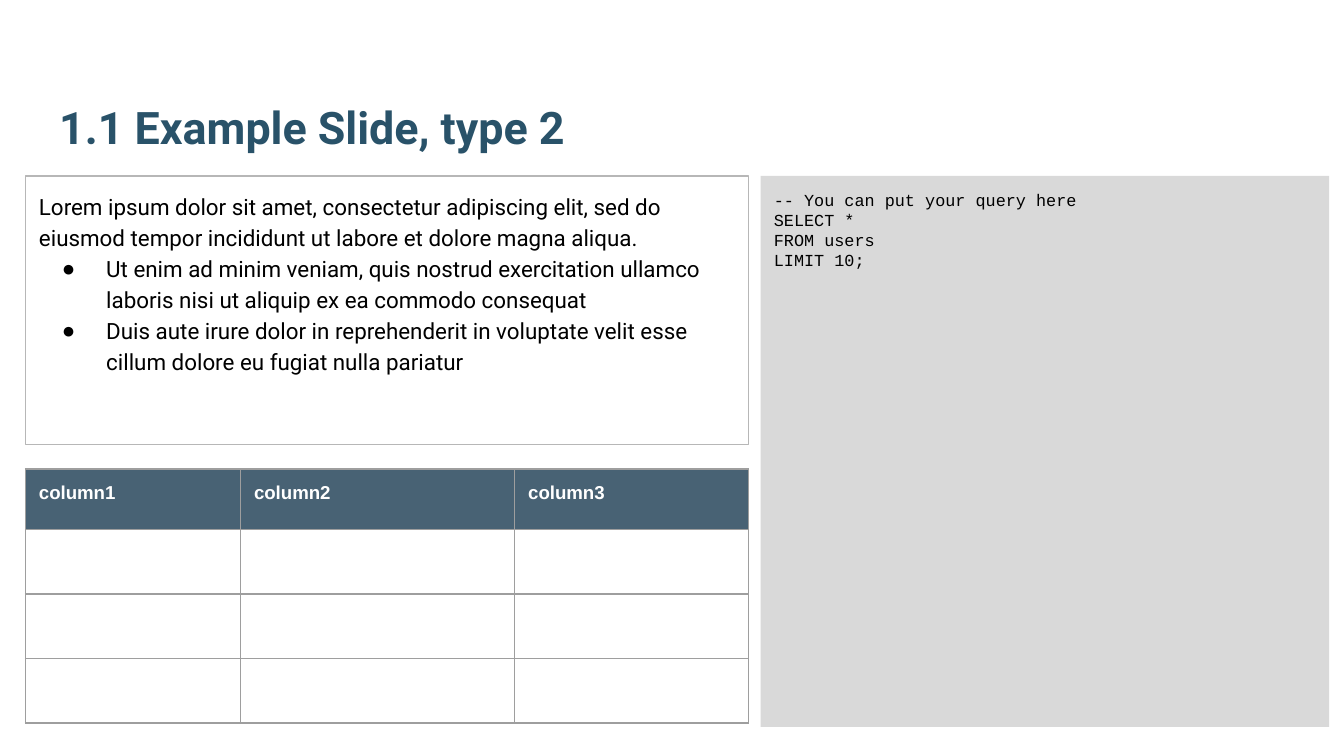
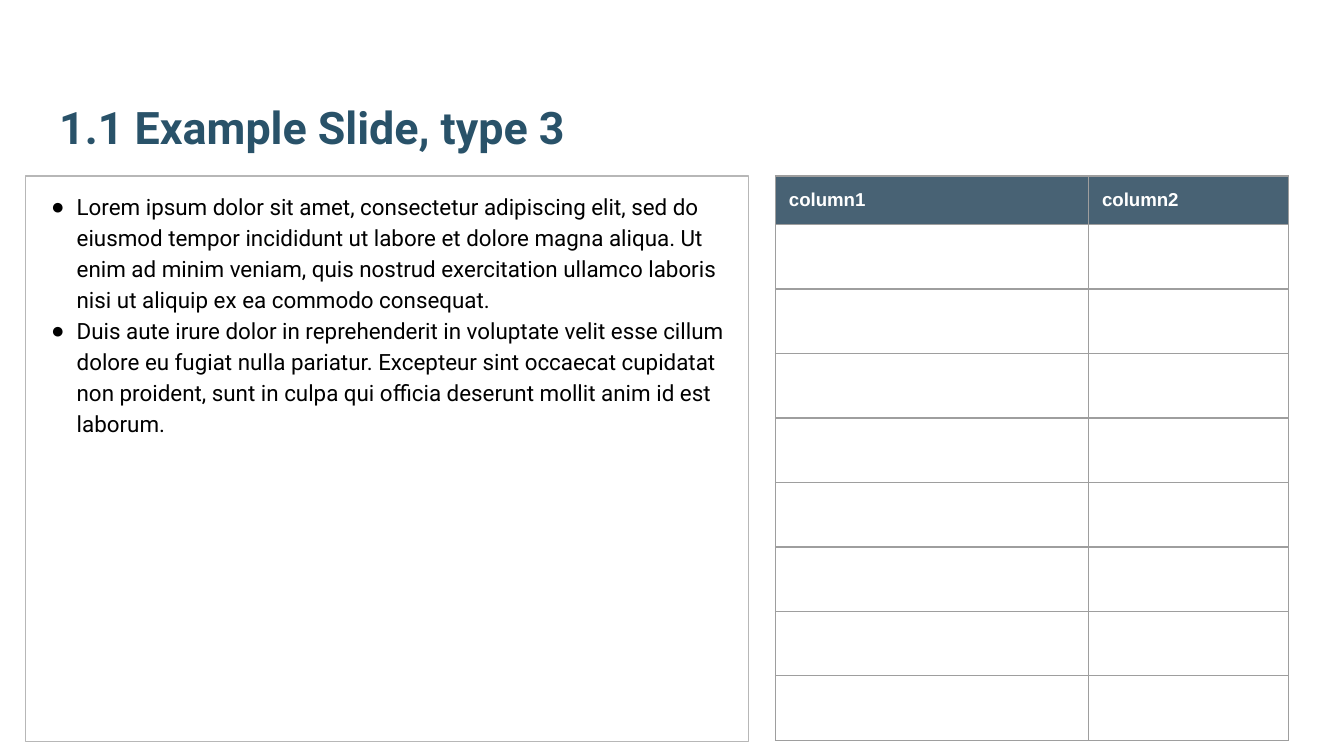
from lxml import etree
from pptx import Presentation
from pptx import util as u
from pptx.dml import color
from pptx.enum import shapes, text
from pptx.oxml import ns

SCALE = 9144
PAD = 10
INK, TITLE, HEADER = "000000", "295269", "204056"
PANEL, FRAME, GRID = "D9D9D9", "B7B7B7", "9E9E9E"
TITLE_BOX = (34, 32, 932, 92)
LEFT, TOP, TEXT_WIDTH = 19, 131, 538


def px(length):
    return u.Emu(length * SCALE)


def rgb(code):
    return color.RGBColor.from_string(code)


def add_xml(parent, tag, **attributes):
    return etree.SubElement(parent, ns.qn(tag), attributes)


def place(shape, box):
    shape.left, shape.top, shape.width, shape.height = map(px, box)


def set_bullet(paragraph, bullet):
    properties = paragraph._p.get_or_add_pPr()
    indent, hanging = bullet or (0, 0)
    properties.set("marL", str(px(indent)))
    properties.set("indent", str(px(-hanging)))
    if bullet:
        add_xml(add_xml(properties, "a:buClr"), "a:srgbClr", val=INK)
        add_xml(properties, "a:buFont", typeface="Arial")
        add_xml(properties, "a:buChar", char="●")
    else:
        add_xml(properties, "a:buNone")


def write(frame, lines, size=12, font="Roboto", ink=INK, bold=False,
          spacing=1.0, bullets=None):
    for number, line in enumerate(lines):
        paragraph = frame.paragraphs[0] if number == 0 else frame.add_paragraph()
        set_bullet(paragraph, bullets[number] if bullets else None)
        paragraph.alignment = text.PP_ALIGN.LEFT
        paragraph.line_spacing = spacing
        paragraph.space_before = u.Pt(0)
        run = paragraph.add_run()
        run.text = line
        run.font.size = u.Pt(size)
        run.font.name = font
        run.font.bold = bold
        run.font.color.rgb = rgb(ink)


def set_frame(frame, anchor=text.MSO_ANCHOR.TOP, left=PAD):
    frame.word_wrap = True
    frame.auto_size = text.MSO_AUTO_SIZE.NONE
    frame.vertical_anchor = anchor
    frame.margin_left = px(left)
    frame.margin_top = frame.margin_right = frame.margin_bottom = px(PAD)


def add_titled_slide(deck, title):
    slide = deck.slides.add_slide(deck.slide_layouts[1])
    heading = slide.shapes.title
    place(heading, TITLE_BOX)
    set_frame(heading.text_frame, text.MSO_ANCHOR.BOTTOM)
    write(heading.text_frame, [title], size=24, ink=TITLE, bold=True)
    return slide


def fill_notes(slide, box, lines, bullets, left=PAD):
    notes = slide.placeholders[1]
    place(notes, box)
    notes.line.color.rgb = rgb(FRAME)
    notes.line.width = u.Pt(0.75)
    set_frame(notes.text_frame, left=left)
    write(notes.text_frame, lines, spacing=1.15, bullets=bullets)


def add_query(slide, box, lines):
    panel = slide.shapes.add_shape(shapes.MSO_SHAPE.RECTANGLE, *map(px, box))
    panel.shadow.inherit = False
    panel.fill.solid()
    panel.fill.fore_color.rgb = rgb(PANEL)
    panel.line.fill.background()
    set_frame(panel.text_frame)
    write(panel.text_frame, lines, size=9, font="Courier New")


def add_borders(cell):
    properties = cell._tc.get_or_add_tcPr()
    for side in ("a:lnL", "a:lnR", "a:lnT", "a:lnB"):
        border = add_xml(properties, side, w=str(u.Pt(0.75)))
        add_xml(add_xml(border, "a:solidFill"), "a:srgbClr", val=GRID)


def format_header(cell, label):
    cell.fill.solid()
    cell.fill.fore_color.rgb = rgb(HEADER)
    tint = cell._tc.tcPr.find(ns.qn("a:solidFill") + "/" + ns.qn("a:srgbClr"))
    add_xml(tint, "a:alpha", val="82000")
    cell.margin_left = cell.margin_right = px(PAD)
    cell.margin_top = cell.margin_bottom = px(PAD)
    write(cell.text_frame, [label], size=10, font="Arial", ink="FFFFFF", bold=True)


def add_results(slide, left, top, widths, header_height, empty_rows, row_height=48):
    heights = [header_height] + [row_height] * empty_rows
    box = (left, top, sum(widths), sum(heights))
    results = slide.shapes.add_table(len(heights), len(widths), *map(px, box)).table
    results.first_row = results.horz_banding = False
    for column, width in zip(results.columns, widths):
        column.width = px(width)
    for row_number, (row, height) in enumerate(zip(results.rows, heights)):
        row.height = px(height)
        for column_number, cell in enumerate(row.cells, start=1):
            add_borders(cell)
            if row_number == 0:
                format_header(cell, f"column{column_number}")
            else:
                cell.fill.background()


def build_query_slide(deck):
    slide = add_titled_slide(deck, "1.1 Example Slide, type 2")
    item = (50, 33)
    add_query(slide, (566, TOP, 423, 410), [
        "-- You can put your query here", "SELECT *", "FROM users", "LIMIT 10;"])
    fill_notes(slide, (LEFT, TOP, TEXT_WIDTH, 200), [
        "Lorem ipsum dolor sit amet, consectetur adipiscing elit, sed do eiusmod "
        "tempor incididunt ut labore et dolore magna aliqua.",
        "Ut enim ad minim veniam, quis nostrud exercitation ullamco laboris nisi "
        "ut aliquip ex ea commodo consequat",
        "Duis aute irure dolor in reprehenderit in voluptate velit esse cillum "
        "dolore eu fugiat nulla pariatur",
    ], [None, item, item])
    add_results(slide, LEFT, 349, (160, 204, 174), header_height=45, empty_rows=3)


def build_list_slide(deck):
    slide = add_titled_slide(deck, "1.1 Example Slide, type 3")
    item = (19, 21)
    fill_notes(slide, (LEFT, TOP, TEXT_WIDTH, 421), [
        "Lorem ipsum dolor sit amet, consectetur adipiscing elit, sed do eiusmod "
        "tempor incididunt ut labore et dolore magna aliqua. Ut enim ad minim "
        "veniam, quis nostrud exercitation ullamco laboris nisi ut aliquip ex ea "
        "commodo consequat.",
        "Duis aute irure dolor in reprehenderit in voluptate velit esse cillum "
        "dolore eu fugiat nulla pariatur. Excepteur sint occaecat cupidatat non "
        "proident, sunt in culpa qui officia deserunt mollit anim id est laborum.",
    ], [item, item], left=19)
    add_results(slide, 577, TOP, (233, 149), header_height=36, empty_rows=8)


def main():
    deck = Presentation()
    deck.slide_width = px(1000)
    deck.slide_height = deck.slide_width * 9 // 16
    build_query_slide(deck)
    build_list_slide(deck)
    deck.save("out.pptx")


if __name__ == "__main__":
    main()
